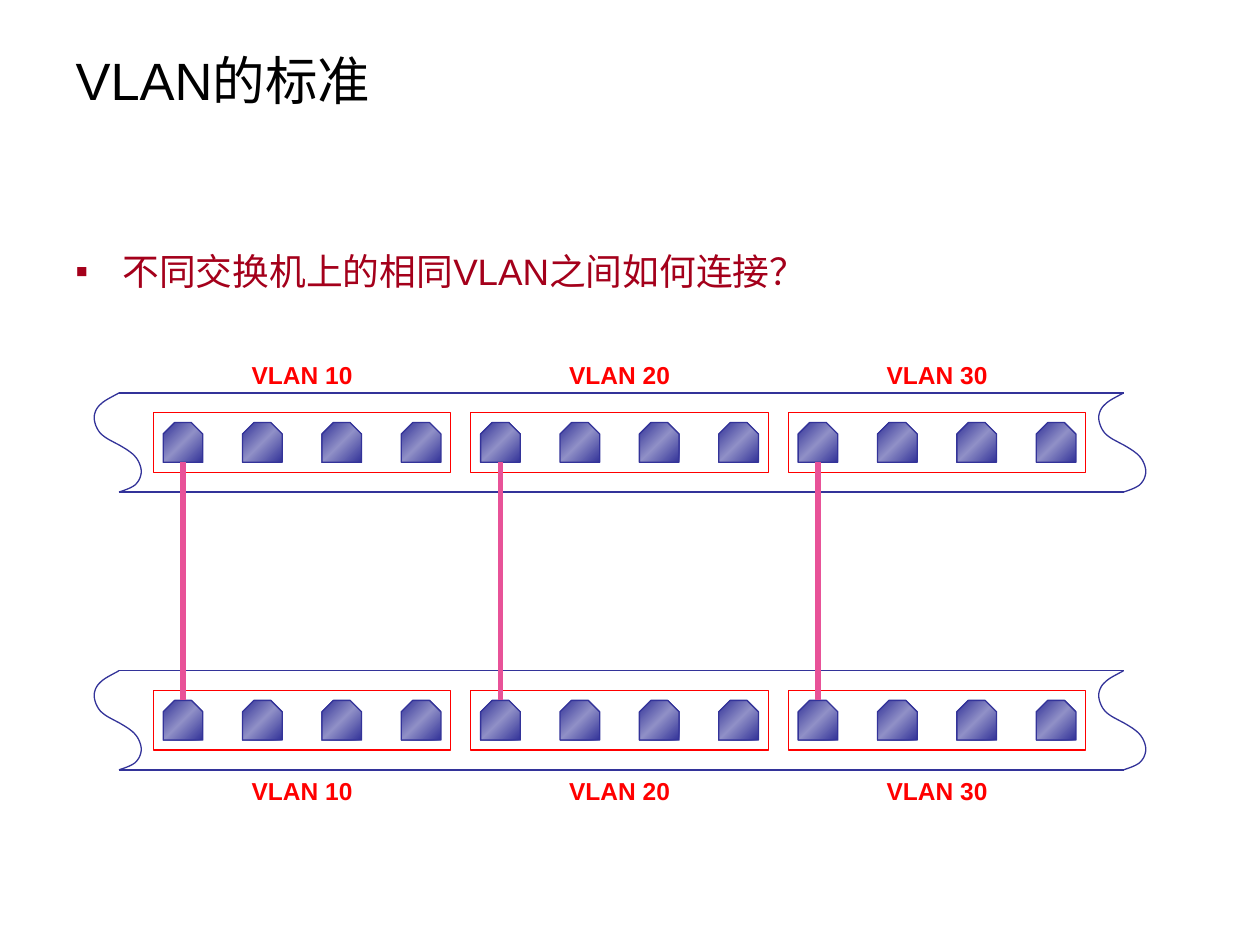
from copy import deepcopy
from dataclasses import dataclass

from lxml.etree import SubElement
from pptx import Presentation
from pptx.dml.color import RGBColor
from pptx.enum.shapes import MSO_CONNECTOR, MSO_SHAPE
from pptx.enum.text import MSO_ANCHOR, MSO_AUTO_SIZE, PP_ALIGN
from pptx.oxml.ns import qn
from pptx.util import Cm, Pt


@dataclass(frozen=True)
class Theme:
    font: str = "Arial"
    title: str = "000000"
    bullet: str = "A4001B"
    vlan: str = "FF0000"
    port: str = "333399"
    port_light: str = "9090C7"
    link: str = "E85298"
    title_size: float = 30
    bullet_size: float = 21
    label_size: float = 14
    thin: float = 0.75
    thick: float = 3


THEME = Theme()

# Layout in centimetres
VLANS = ["VLAN 10", "VLAN 20", "VLAN 30"]
VLAN_PITCH, FRAME_LEFT, FRAME_WIDTH, FRAME_HEIGHT = 6.4, 3.09, 6, 1.2
PORTS_PER_VLAN, PORT_PITCH, PORT_SIZE = 4, 1.6, 0.8
CHAMFER = 0.23
PORT_INSET = 0.2
STRIP_LEFT, STRIP_SPAN, STRIP_HEIGHT = 1.9, 20.25, 2
FRAME_DROP = 0.4
LABEL_WIDTH, LABEL_HEIGHT = 2.8, 0.86
SWITCHES = [  # strip top, label top
    (7.92, 7.14),
    (13.52, 15.52),
]

# Torn edge of a switch: start point, then Bezier segments
EDGE_START = (0.5, 0)
EDGE_CURVES = [
    ((0.43, 0.05), (0.23, 0.13), (0.13, 0.23)),
    ((0.05, 0.3), (0, 0.4), (0, 0.5)),
    ((0, 0.6), (0.05, 0.73), (0.13, 0.82)),
    ((0.23, 0.92), (0.37, 0.98), (0.5, 1.05)),
    ((0.62, 1.12), (0.76, 1.2), (0.84, 1.3)),
    ((0.92, 1.4), (0.95, 1.52), (0.95, 1.6)),
    ((0.94, 1.7), (0.9, 1.79), (0.82, 1.86)),
    ((0.73, 1.93), (0.56, 1.98), (0.5, 2)),
]
CURVE_STEPS = 8


def apply_format(target, values):
    for name, value in values.items():
        setattr(target, name, value)


def format_font(paragraph, size, color, bold=False):
    apply_format(paragraph.font, {"name": THEME.font, "size": Pt(size), "bold": bold})
    paragraph.font.color.rgb = RGBColor.from_string(color)


def format_line(shape, color, width):
    shape.line.color.rgb = RGBColor.from_string(color)
    shape.line.width = Pt(width)


def add_title(slide, text):
    title = slide.shapes.title
    apply_format(title, {"left": Cm(1.27), "top": Cm(0.53),
                         "width": Cm(20.83), "height": Cm(2.16)})
    apply_format(title.text_frame, {"text": text, "auto_size": MSO_AUTO_SIZE.NONE,
                                    "vertical_anchor": MSO_ANCHOR.MIDDLE})
    paragraph = title.text_frame.paragraphs[0]
    paragraph.alignment = PP_ALIGN.LEFT
    format_font(paragraph, THEME.title_size, THEME.title)


def add_text(slide, text, left, top, width, height):
    box = slide.shapes.add_textbox(Cm(left), Cm(top), Cm(width), Cm(height))
    apply_format(box.text_frame, {"text": text, "word_wrap": True})
    return box.text_frame.paragraphs[0]


def add_question(slide, text):
    paragraph = add_text(slide, text, 1.27, 4.45, 23.04, 12.29)
    paragraph.line_spacing = 1.5
    properties = paragraph._p.get_or_add_pPr()
    properties.set("marL", str(Cm(0.95)))
    properties.set("indent", str(Cm(-0.95)))
    bullet_color = SubElement(properties, qn("a:buClr"))
    SubElement(bullet_color, qn("a:srgbClr"), val=THEME.bullet)
    SubElement(properties, qn("a:buFont"), typeface=THEME.font)
    SubElement(properties, qn("a:buChar"), char="▪")
    format_font(paragraph, THEME.bullet_size, THEME.bullet)


def add_label(slide, text, center, top):
    paragraph = add_text(slide, text, center - LABEL_WIDTH / 2, top, LABEL_WIDTH, LABEL_HEIGHT)
    paragraph.alignment = PP_ALIGN.CENTER
    format_font(paragraph, THEME.label_size, THEME.vlan, bold=True)


def add_line(shapes, start, end, color, width):
    points = [Cm(value) for value in (*start, *end)]
    connector = shapes.add_connector(MSO_CONNECTOR.STRAIGHT, *points)
    format_line(connector, color, width)
    SubElement(connector._element.spPr, qn("a:effectLst"))


def add_outline(shapes, points, left, top, close):
    placed = [(Cm(left + x), Cm(top + y)) for x, y in points]
    builder = shapes.build_freeform(*placed[0], scale=1.0)
    builder.add_line_segments(placed[1:], close=close)
    shape = builder.convert_to_shape()
    shape.shadow.inherit = False
    format_line(shape, THEME.port, THEME.thin)
    return shape


def edge_points():
    points = [EDGE_START]
    for first, second, end in EDGE_CURVES:
        start = points[-1]
        for step in range(1, CURVE_STEPS + 1):
            t = step / CURVE_STEPS
            weights = ((1 - t) ** 3, 3 * t * (1 - t) ** 2, 3 * t * t * (1 - t), t ** 3)
            controls = (start, first, second, end)
            points.append(tuple(sum(w * point[axis] for w, point in zip(weights, controls))
                                for axis in (0, 1)))
    return points


def add_strip(slide, top):
    shapes = slide.shapes.add_group_shape().shapes
    for left in (STRIP_LEFT, STRIP_LEFT + STRIP_SPAN):
        add_outline(shapes, edge_points(), left, top, close=False).fill.background()
    start = STRIP_LEFT + EDGE_START[0]
    for y in (top, top + STRIP_HEIGHT):
        add_line(shapes, (start, y), (start + STRIP_SPAN, y), THEME.port, THEME.thin)


def add_port(slide, left, top):
    corners = [(CHAMFER, 0), (0, CHAMFER), (0, PORT_SIZE), (PORT_SIZE, PORT_SIZE),
               (PORT_SIZE, CHAMFER), (PORT_SIZE - CHAMFER, 0)]
    port = add_outline(slide.shapes, corners, left, top, close=True)
    port.fill.gradient()
    port.fill.gradient_angle = 315
    stop_list = port._element.spPr.find(qn("a:gradFill")).find(qn("a:gsLst"))
    stop_list.append(deepcopy(stop_list[0]))
    colors = (THEME.port, THEME.port_light, THEME.port)
    for stop, position, color in zip(port.fill.gradient_stops, (0, 0.5, 1), colors):
        stop.position = position
        stop.color.rgb = RGBColor.from_string(color)


def add_vlan(slide, name, left, strip_top, label_top):
    frame_top = strip_top + FRAME_DROP
    add_label(slide, name, left + FRAME_WIDTH / 2, label_top)
    for index in range(PORTS_PER_VLAN):
        add_port(slide, left + PORT_INSET + index * PORT_PITCH, frame_top + PORT_INSET)
    frame = slide.shapes.add_shape(MSO_SHAPE.RECTANGLE, Cm(left), Cm(frame_top),
                                   Cm(FRAME_WIDTH), Cm(FRAME_HEIGHT))
    frame.shadow.inherit = False
    frame.fill.background()
    format_line(frame, THEME.vlan, THEME.thin)


def main():
    presentation = Presentation()
    presentation.slide_width, presentation.slide_height = Cm(25.4), Cm(19.05)
    slide = presentation.slides.add_slide(presentation.slide_layouts[5])

    # Title and question
    add_title(slide, "VLAN的标准")
    add_question(slide, "不同交换机上的相同VLAN之间如何连接？")

    # Two switches with their VLANs
    vlan_lefts = [FRAME_LEFT + index * VLAN_PITCH for index in range(len(VLANS))]
    for strip_top, label_top in SWITCHES:
        add_strip(slide, strip_top)
        for name, left in zip(VLANS, vlan_lefts):
            add_vlan(slide, name, left, strip_top, label_top)

    # One link per VLAN between the first ports
    port_tops = [strip_top + FRAME_DROP + PORT_INSET for strip_top, _ in SWITCHES]
    for left in vlan_lefts:
        center = left + PORT_INSET + PORT_SIZE / 2
        add_line(slide.shapes, (center, port_tops[0] + PORT_SIZE), (center, port_tops[1]),
                 THEME.link, THEME.thick)

    presentation.save("out.pptx")


if __name__ == "__main__":
    main()
